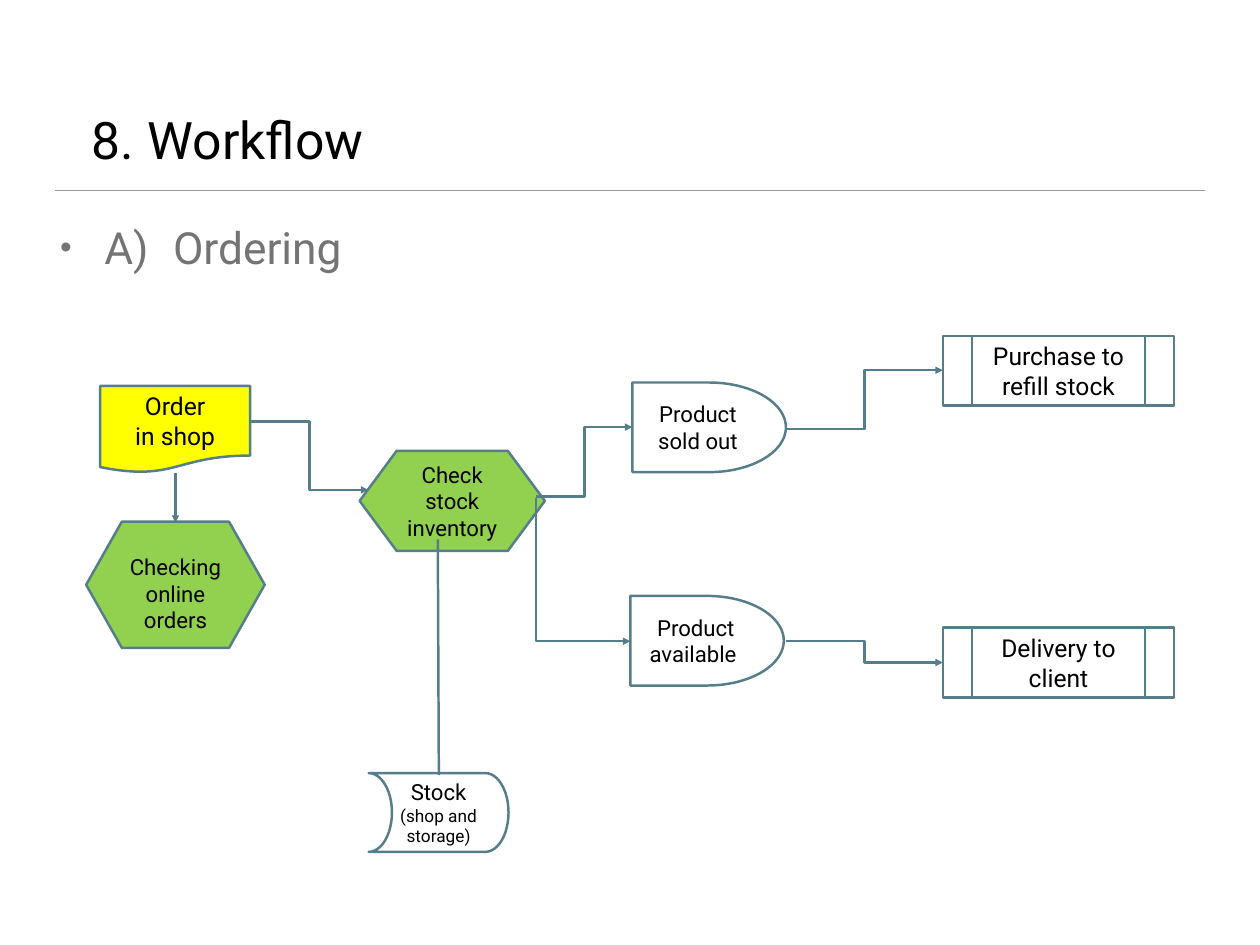
import lxml.etree
import pptx
import pptx.dml.color
import pptx.enum.shapes
import pptx.enum.text
import pptx.oxml.ns
import pptx.util

Cm = pptx.util.Cm
Pt = pptx.util.Pt
SHAPE = pptx.enum.shapes.MSO_SHAPE
CONNECTOR = pptx.enum.shapes.MSO_CONNECTOR
ALIGN = pptx.enum.text.PP_ALIGN
ANCHOR = pptx.enum.text.MSO_ANCHOR


def color(value):
    return pptx.dml.color.RGBColor.from_string(value)


def add_element(parent, tag, **attributes):
    return lxml.etree.SubElement(parent, pptx.oxml.ns.qn(tag), attributes)


def write(frame, text, sizes, fill="000000", align=ALIGN.CENTER,
          anchor=ANCHOR.MIDDLE, margin_top=0.15, bullet=None):
    frame.word_wrap = True
    frame.auto_size = pptx.enum.text.MSO_AUTO_SIZE.NONE
    frame.vertical_anchor = anchor
    frame.margin_left = frame.margin_right = frame.margin_bottom = Cm(0.15)
    frame.margin_top = Cm(margin_top)
    for index, (line, size) in enumerate(zip(text.split("\n"), sizes)):
        paragraph = frame.add_paragraph() if index else frame.paragraphs[0]
        properties = paragraph._p.get_or_add_pPr()
        properties.set("defTabSz", str(Cm(1.62)))
        if bullet:
            properties.set("marL", str(Cm(1.27)))
            properties.set("indent", str(-Cm(1.27)))
            add_element(properties, "a:buSzPct", val="75000")
            add_element(properties, "a:buChar", char=bullet)
        paragraph.alignment = align
        paragraph.space_before = Pt(0)
        run = paragraph.add_run()
        run.text = line
        run.font.name = "Roboto"
        run.font.size = Pt(size)
        run.font.color.rgb = color(fill)


class Flowchart:
    """Draw workflow steps and links on one slide in a shared style."""

    outline = "557E8A"
    width = 2

    def __init__(self, slide):
        self.slide = slide

    def placeholder(self, index, left, top, width, height, text, size, **style):
        shape = self.slide.placeholders[index]
        shape.left, shape.top = Cm(left), Cm(top)
        shape.width, shape.height = Cm(width), Cm(height)
        write(shape.text_frame, text, [size], align=ALIGN.LEFT, **style)

    def step(self, kind, left, top, width, height, text, sizes,
             fill="FFFFFF", mirrored=False, **style):
        shape = self.slide.shapes.add_shape(
            kind, Cm(left), Cm(top), Cm(width), Cm(height))
        shape.shadow.inherit = False
        shape.fill.solid()
        shape.fill.fore_color.rgb = color(fill)
        self.stroke(shape)
        if mirrored:
            shape._element.spPr.xfrm.set("flipH", "1")
        write(shape.text_frame, text, sizes, **style)

    def stroke(self, shape, arrow=False, stroke_color=None, width=None):
        shape.line.color.rgb = color(stroke_color or self.outline)
        shape.line.width = Pt(width or self.width)
        if arrow:
            add_element(shape.line._get_or_add_ln(), "a:tailEnd", type="triangle")

    def link(self, kind, start, end, arrow=True, **style):
        points = [Cm(value) for value in (*start, *end)]
        connector = self.slide.shapes.add_connector(kind, *points)
        self.stroke(connector, arrow, **style)
        add_element(connector._element.spPr, "a:effectLst")

    def corner(self, *points):
        first, *others = [(Cm(x), Cm(y)) for x, y in points]
        builder = self.slide.shapes.build_freeform(*first)
        builder.add_line_segments(others, close=False)
        shape = builder.convert_to_shape()
        shape.shadow.inherit = False
        shape.fill.background()
        self.stroke(shape, arrow=True)


def main():
    presentation = pptx.Presentation()
    presentation.slide_width, presentation.slide_height = Cm(36.12), Cm(27.1)
    slide = presentation.slides.add_slide(presentation.slide_layouts[1])
    chart = Flowchart(slide)

    chart.link(CONNECTOR.STRAIGHT, (1.57, 5.46), (34.54, 5.46),
               arrow=False, stroke_color="9A9A9A", width=1)
    chart.placeholder(0, 2.46, 1.14, 32.94, 3.89, "8.\tWorkflow", 42,
                      anchor=ANCHOR.BOTTOM)
    chart.placeholder(1, 1.57, 6.17, 32.94, 18.52, "A)\tOrdering", 36,
                      fill="747474", anchor=ANCHOR.TOP, bullet="•")

    green = "92D050"
    chart.step(SHAPE.FLOWCHART_DOCUMENT, 2.87, 11.07, 4.3, 2.49,
               "Order\nin shop", [20, 20], fill="FFFF00")
    chart.step(SHAPE.FLOWCHART_PREPARATION, 2.47, 14.96, 5.12, 3.62,
               "Checking online orders", [18], fill=green, margin_top=0.65)
    chart.step(SHAPE.FLOWCHART_PREPARATION, 10.31, 12.93, 5.31, 2.87,
               "Check stock inventory", [18], fill=green)
    chart.step(SHAPE.FLOWCHART_STORED_DATA, 10.57, 22.17, 4.01, 2.26,
               "Stock\n(shop and storage)", [18, 14], mirrored=True)
    for left, top, text in ((18.13, 10.97, "Product sold out"),
                            (18.07, 17.09, "Product available ")):
        chart.step(SHAPE.FLOWCHART_DELAY, left, top, 4.4, 2.57, text, [18])
    for top, text in ((9.63, "Purchase to refill stock"),
                      (18, "Delivery to client")):
        chart.step(SHAPE.FLOWCHART_PREDEFINED_PROCESS, 27.03, top, 6.63, 2,
                   text, [20])

    chart.link(CONNECTOR.STRAIGHT, (5.03, 13.56), (5.03, 14.99))
    chart.link(CONNECTOR.STRAIGHT, (12.55, 15.47), (12.58, 22.23), arrow=False)
    for start, end in (((7.18, 12.09), (10.56, 14.05)),
                       ((15.38, 14.24), (18.13, 12.25)),
                       ((22.54, 12.31), (27.03, 10.62)),
                       ((22.54, 18.39), (27.03, 19))):
        chart.link(CONNECTOR.ELBOW, start, end)
    chart.corner((15.37, 14.27), (15.37, 18.39), (18.07, 18.39))

    presentation.save("out.pptx")


if __name__ == "__main__":
    main()
